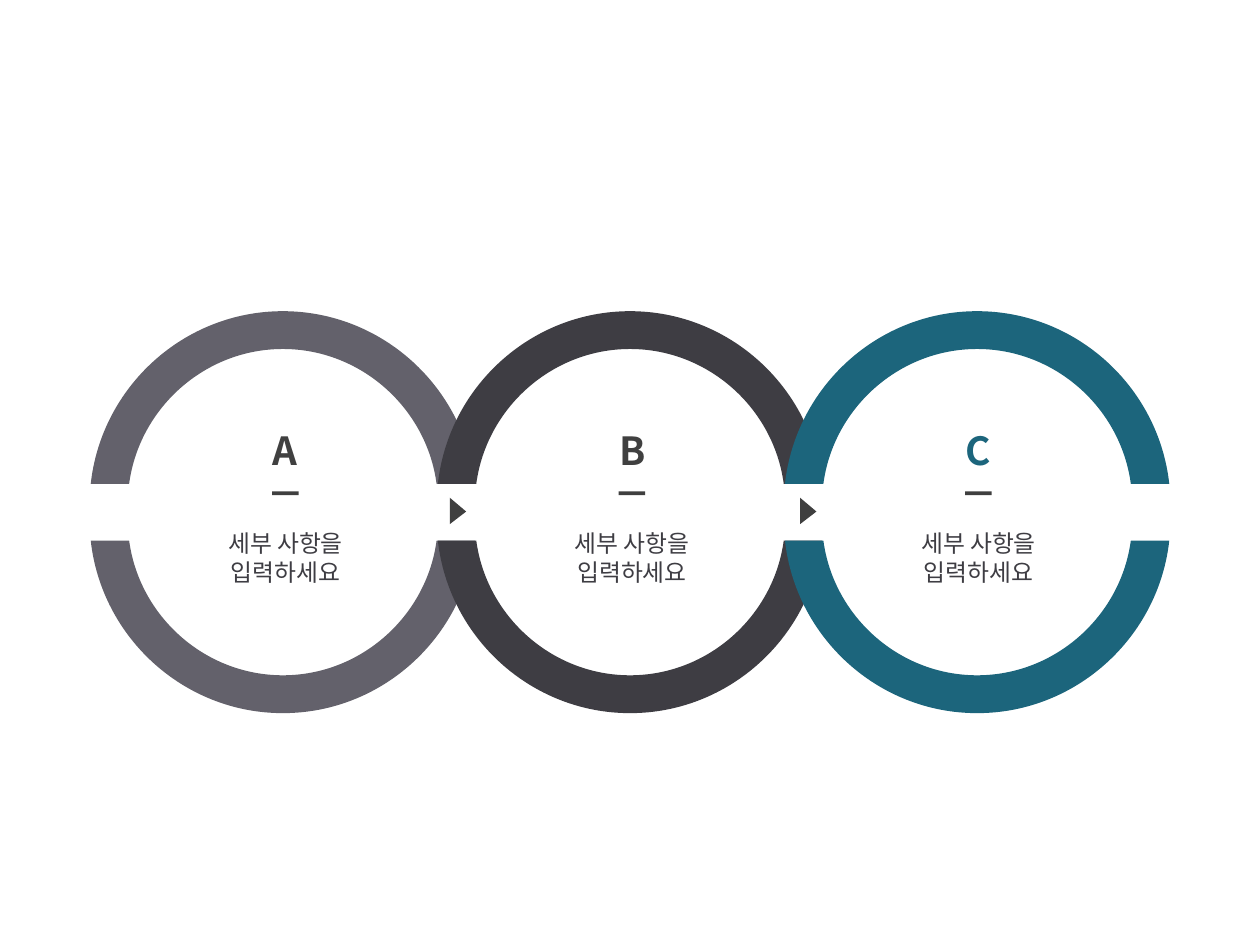
from lxml.etree import SubElement
from pptx import Presentation
from pptx.dml.color import RGBColor
from pptx.enum.shapes import MSO_SHAPE
from pptx.enum.text import MSO_ANCHOR, MSO_AUTO_SIZE, PP_ALIGN
from pptx.oxml.ns import qn
from pptx.util import Inches, Pt

WHITE = RGBColor(0xFF, 0xFF, 0xFF)
GRAY = RGBColor(0x63, 0x61, 0x6B)
CHARCOAL = RGBColor(0x3E, 0x3D, 0x43)
TEAL = RGBColor(0x1C, 0x65, 0x7C)
ACCENT = RGBColor(0x3F, 0x3F, 0x3F)
LETTER = RGBColor(0x40, 0x40, 0x40)

RING_CENTER, RING_PITCH = 2.245, 2.755
CONTENT_CENTER, CONTENT_PITCH = 2.265, 2.75

# Bezier points of half a ring: distance from its axis and from its cut edge.
HALF_RING = [
    (0, 1.07), (-0.62, 1.07), (-1.14, 0.6), (-1.22, 0),
    (-1.525, 0), (-1.525, 0), (-1.525, 0),
    (-1.44, 0.77), (-0.785, 1.37), (0, 1.37),
    (0.785, 1.37), (1.44, 0.77), (1.525, 0),
    (1.22, 0), (1.22, 0), (1.22, 0),
    (1.14, 0.6), (0.62, 1.07), (0, 1.07),
]

STEPS = [("A", GRAY, LETTER), ("B", CHARCOAL, LETTER), ("C", TEAL, TEAL)]
DETAIL = "세부 사항을 입력하세요"


class SlideBuilder:
    font_name = "Noto Sans CJK KR"

    def __init__(self, slide):
        self.slide = slide

    def paint(self, shape, color):
        shape.shadow.inherit = False
        shape.fill.solid()
        shape.fill.fore_color.rgb = color
        shape.line.fill.background()

    def outline(self, points, color):
        corners = [(Inches(x), Inches(y)) for x, y in points]
        builder = self.slide.shapes.build_freeform(*corners[0])
        builder.add_line_segments(corners[1:], close=True)
        shape = builder.convert_to_shape()
        self.paint(shape, color)
        return shape

    def curve(self, points, color):
        """Draw a closed outline whose points after the first form Bezier triples."""
        shape = self.outline(points, color)
        lines = list(shape._element.iter(qn("a:lnTo")))
        for start in range(0, len(points) - 1, 3):
            first, second, third = lines[start:start + 3]
            bezier = first.makeelement(qn("a:cubicBezTo"))
            first.addprevious(bezier)
            for line in (first, second, third):
                bezier.append(line[0])
                line.getparent().remove(line)

    def half_ring(self, center, cut, side, color):
        self.curve([(center + x, cut + side * y) for x, y in HALF_RING], color)

    def preset(self, kind, center, top, width, height, color):
        shape = self.slide.shapes.add_shape(
            kind, Inches(center - width / 2), Inches(top),
            Inches(width), Inches(height))
        self.paint(shape, color)

    def text(self, content, center, top, width, height, size, color,
             bold=False, space_before=0, wrap=False):
        box = self.slide.shapes.add_textbox(
            Inches(center - width / 2), Inches(top),
            Inches(width), Inches(height))
        frame = box.text_frame
        frame.word_wrap = wrap
        frame.auto_size = MSO_AUTO_SIZE.SHAPE_TO_FIT_TEXT
        frame.vertical_anchor = MSO_ANCHOR.TOP
        paragraph = frame.paragraphs[0]
        paragraph.text = content
        paragraph.alignment = PP_ALIGN.CENTER
        paragraph.space_before = Pt(space_before)
        font = paragraph.runs[0].font
        font.size = Pt(size)
        font.bold = bold
        font.color.rgb = color
        font.name = self.font_name
        east_asian = SubElement(font._element, qn("a:ea"))
        east_asian.set("typeface", self.font_name)


def main():
    presentation = Presentation()
    presentation.slide_width = Inches(10)
    presentation.slide_height = Inches(7.5)
    builder = SlideBuilder(
        presentation.slides.add_slide(presentation.slide_layouts[6]))

    for left in (3.57, 6.35):
        builder.outline([(left, 3.95), (left + 0.13, 4.06), (left, 4.16)], ACCENT)

    for index, (_, ring_color, _) in enumerate(STEPS):
        center = RING_CENTER + index * RING_PITCH
        builder.half_ring(center, 4.29, 1, ring_color)
        builder.half_ring(center, 3.84, -1, ring_color)

    centers = [CONTENT_CENTER + index * CONTENT_PITCH for index in range(len(STEPS))]
    for center in centers:
        builder.preset(MSO_SHAPE.OVAL, center, 2.99, 2.19, 2.19, WHITE)
    for center in centers:
        builder.preset(MSO_SHAPE.RECTANGLE, center, 3.9, 0.21, 0.03, ACCENT)
    for center in centers:
        builder.text(DETAIL, center, 4.15, 1.99, 0.33, 13.6, CHARCOAL, wrap=True)
    for center, (letter, _, color) in zip(centers, STEPS):
        builder.text(letter, center, 3.34, 0.4, 0.47, 22.1, color,
                     bold=True, space_before=1.7)

    presentation.save("out.pptx")


if __name__ == "__main__":
    main()
